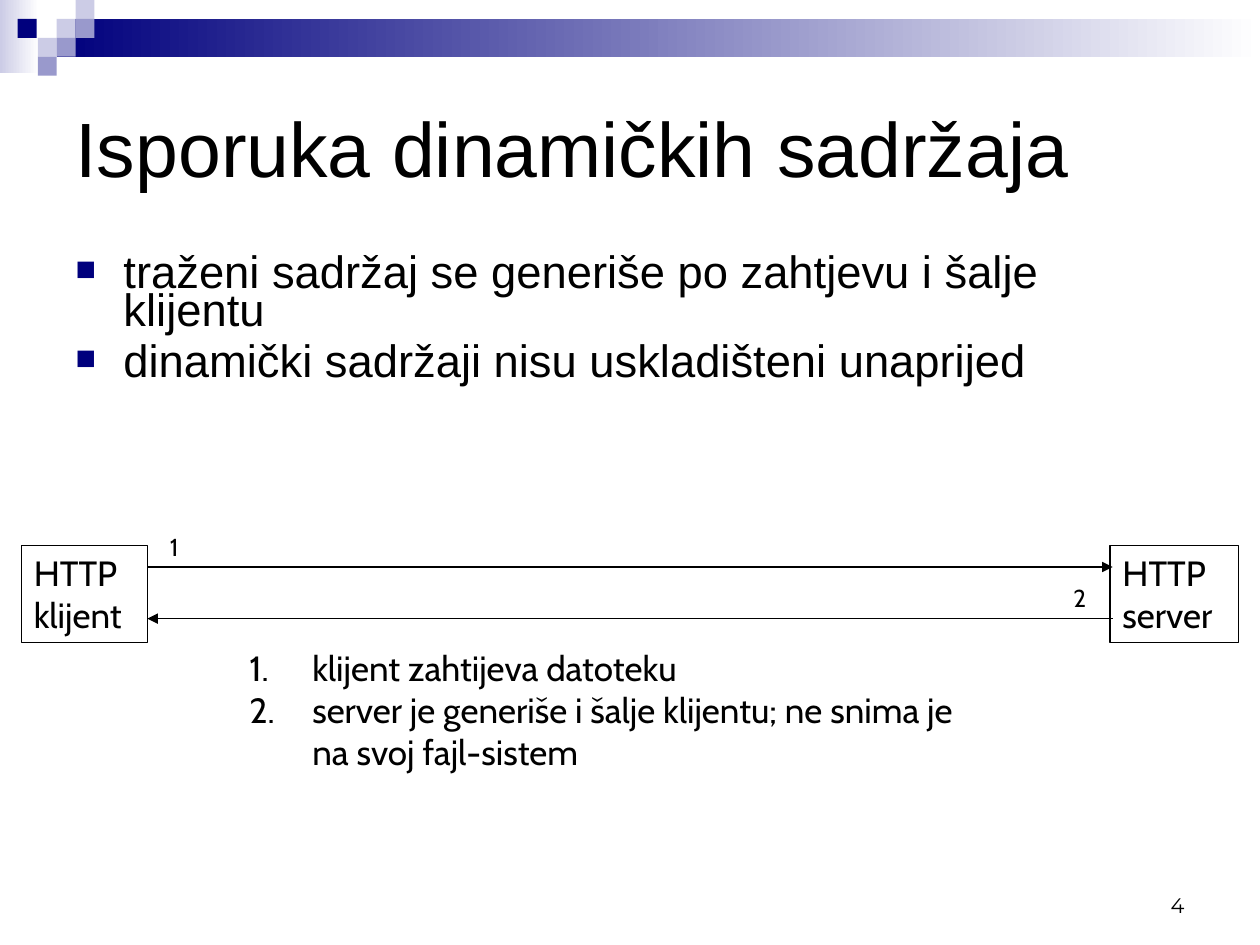
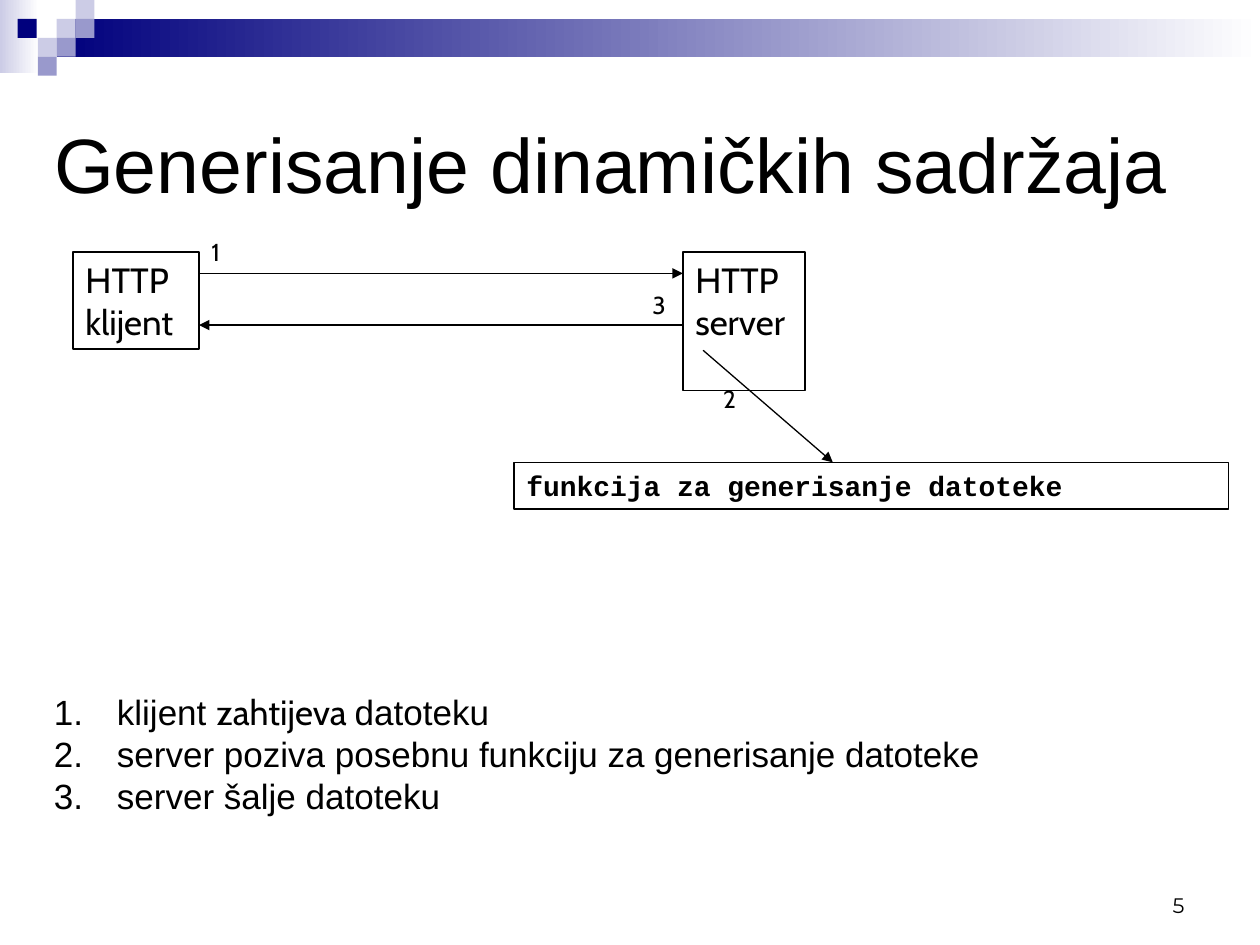
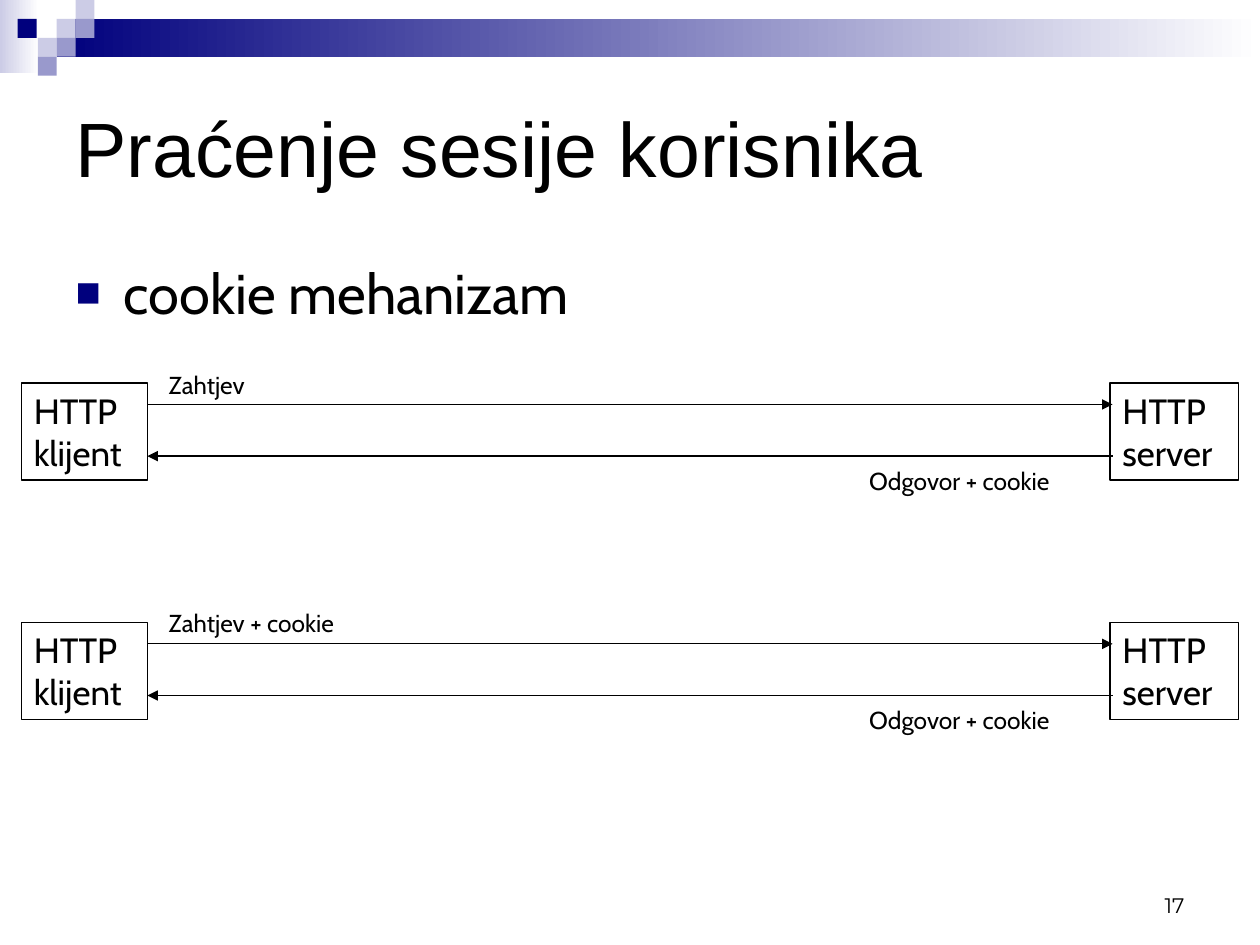
from lxml import etree
from pptx import Presentation
from pptx.dml.color import RGBColor
from pptx.enum import shapes, text
from pptx.oxml import ns
from pptx.util import Inches, Pt

NAVY = RGBColor(0x00, 0x00, 0x7D)
LILAC = RGBColor(0x99, 0x99, 0xCC)
PALE = RGBColor(0xCC, 0xCC, 0xE6)
WHITE = RGBColor(0xFF, 0xFF, 0xFF)
BLACK = RGBColor(0, 0, 0)

BANDS = [((0, 0, 0.31, 0.58), PALE), ((0.45, 0.15, 9.55, 0.3), NAVY)]
TILES = [(0.45, 0.15, PALE), (0.6, 0, PALE), (0.6, 0.15, LILAC), (0.3, 0.3, PALE),
         (0.14, 0.15, NAVY), (0.45, 0.3, LILAC), (0.3, 0.45, LILAC)]
TILE = 0.15
HEAD = (0.5, 0.5, 9, 1.33)
FOOT = (7.17, 6.83, 2.33, 0.5)
WIDE = {"left": 0.17, "right": 8.81, "width": 1.02, "height": 0.77, "tip": 8.83}
NEAR = {"left": 0.58, "right": 5.42, "width": 0.97, "height": 1.1, "tip": 5.42}

SLIDES = [
    {"title": "Isporuka dinamičkih sadržaja", "page": "4",
     "body": {"at": (0.5, 2, 9, 1.21), "size": 25.9, "font": "Arial", "line": 0.7, "gap": 7,
              "items": ["traženi sadržaj se generiše po zahtjevu i šalje klijentu",
                        "dinamički sadržaji nisu uskladišteni unaprijed"]},
     "pairs": [(4.33, WIDE)],
     "notes": [("1", (1.25, 4.17, 0.31)), ("2", (8.42, 4.58, 0.31))],
     "steps": {"at": (1.88, 5.08, 6.51, 1.1), "font": "Cabin",
               "items": ["klijent zahtijeva datoteku",
                         "server je generiše i šalje klijentu; ne snima je\nna svoj fajl-sistem"]}},
    {"title": "Generisanje dinamičkih sadržaja", "page": "5", "head": (0.33, 0.67, 9.33, 1.25),
     "pairs": [(2, NEAR)],
     "notes": [("1", (1.58, 1.83, 0.31)), ("3", (5.08, 2.25, 0.31)), ("2", (5.64, 3, 0.31))],
     "call": {"text": "funkcija za generisanje datoteke", "at": (4.08, 3.67, 5.67, 0.37),
              "arrow": (5.58, 2.78, 6.61, 3.67)},
     "steps": {"at": (0.33, 5.43, 7.6, 1.1), "font": "Arial",
               "items": [[("klijent ", "Arial"), ("zahtijeva ", "Cabin"), ("datoteku", "Arial")],
                         "server poziva posebnu funkciju za generisanje datoteke",
                         "server šalje datoteku"]}},
    {"title": "Praćenje sesije korisnika", "page": "17",
     "body": {"at": (0.5, 2, 9, 0.74), "size": 32, "font": "Cabin", "line": 1, "gap": 8,
              "items": ["cookie mehanizam"]},
     "pairs": [(3.04, WIDE), (4.94, WIDE)],
     "notes": [("Zahtjev", (1.24, 2.89, 0.87)), ("Odgovor + cookie", (6.8, 3.65, 1.81)),
               ("Zahtjev + cookie", (1.24, 4.78, 1.68)), ("Odgovor + cookie", (6.8, 5.55, 1.81))]},
]


def inch(at):
    return [Inches(n) for n in at]


def node(home, tag, **attrs):
    return etree.SubElement(home, ns.qn(tag), attrs)


def place(shape, at):
    shape.left, shape.top, shape.width, shape.height = inch(at)


def write(shape, items, font, size, bold=False, anchor=text.MSO_ANCHOR.TOP,
          align=text.PP_ALIGN.LEFT):
    frame = shape.text_frame
    frame.word_wrap = True
    frame.auto_size = text.MSO_AUTO_SIZE.NONE
    frame.vertical_anchor = anchor
    for i, item in enumerate(items):
        para = frame.add_paragraph() if i else frame.paragraphs[0]
        para.alignment = align
        if isinstance(item, str):
            para.text = item
            faces = [font] * len(para.runs)
        else:
            faces = [face for _, face in item]
            for words, _ in item:
                para.add_run().text = words
        for run, face in zip(para.runs, faces):
            run.font.name = face
            run.font.size = Pt(size)
            run.font.bold = bold
            run.font.color.rgb = BLACK
    return frame.paragraphs


def indent(para, depth, color):
    props = para._p.get_or_add_pPr()
    props.set("marL", str(Inches(depth)))
    props.set("indent", str(-Inches(depth)))
    node(node(props, "a:buClr"), "a:srgbClr", val=str(color))
    return props


def block(slide, at):
    shape = slide.shapes.add_shape(shapes.MSO_SHAPE.RECTANGLE, *inch(at))
    shape.shadow.inherit = False
    return shape


def box(slide, at, items, font="Cabin", size=20, bold=False):
    shape = block(slide, at)
    shape.fill.background()
    shape.line.color.rgb = BLACK
    shape.line.width = Pt(0.75)
    return write(shape, items, font, size, bold)


def label(slide, at, items, font="Cabin", size=14, **style):
    return write(slide.shapes.add_textbox(*inch(at)), items, font, size, **style)


def arrow(slide, ends, end="a:tailEnd"):
    line = slide.shapes.add_connector(shapes.MSO_CONNECTOR.STRAIGHT, *inch(ends))
    line.line.color.rgb = BLACK
    line.line.width = Pt(0.75)
    node(line.line._get_or_add_ln(), end, type="triangle")
    node(line.element.spPr, "a:effectLst")


def pair(slide, top, plan):
    start = plan["left"] + 1
    box(slide, (plan["left"], top, 1, 0.77), ["HTTP", "klijent"])
    box(slide, (plan["right"], top, plan["width"], plan["height"]), ["HTTP", "server"])
    for drop, end in ((0.17, "a:tailEnd"), (0.58, "a:headEnd")):
        arrow(slide, (start, top + drop, plan["tip"], top + drop), end)


def brand(deck, slide):
    parts = []
    for at, color in BANDS:
        part = block(slide, at)
        part.fill.gradient()
        part.fill.gradient_angle = 0
        for stop, shade in zip(part.fill.gradient_stops, (color, WHITE)):
            stop.color.rgb = shade
        parts.append(part)
    for left, top, color in TILES:
        part = block(slide, (left, top, TILE, TILE))
        part.fill.solid()
        part.fill.fore_color.rgb = color
        parts.append(part)
    tree = deck.slide_master.element.cSld.spTree
    for i, part in enumerate(parts):
        part.line.fill.background()
        part.element.nvSpPr.cNvPr.set("id", str(20 + i))
        tree.append(part.element)


def bullets(slide, body):
    shape = slide.placeholders[1]
    place(shape, body["at"])
    for para in write(shape, body["items"], body["font"], body["size"]):
        para.line_spacing = body["line"]
        para.space_before = Pt(body["gap"])
        props = indent(para, 0.38, NAVY)
        node(props, "a:buSzPct", val="75000")
        node(props, "a:buFont", typeface="Arial")
        node(props, "a:buChar", char="■")


def steps(slide, plan):
    for para in label(slide, plan["at"], plan["items"], plan["font"], 20):
        node(indent(para, 0.5, BLACK), "a:buAutoNum", type="arabicPeriod")


def build(deck, data):
    slide = deck.slides.add_slide(deck.slide_layouts[1 if "body" in data else 5])
    title = slide.shapes.title
    place(title, data.get("head", HEAD))
    write(title, [data["title"]], "Arial", 44, anchor=text.MSO_ANCHOR.MIDDLE)
    label(slide, FOOT, [data["page"]], "Montserrat", 12,
          anchor=text.MSO_ANCHOR.BOTTOM, align=text.PP_ALIGN.RIGHT)
    if "body" in data:
        bullets(slide, data["body"])
    for top, plan in data["pairs"]:
        pair(slide, top, plan)
    for words, at in data["notes"]:
        label(slide, (*at, 0.34), [words])
    if "call" in data:
        call = data["call"]
        paras = box(slide, call["at"], [call["text"]], "Courier New", 16, True)
        paras[0].space_before = Pt(10)
        arrow(slide, call["arrow"])
    if "steps" in data:
        steps(slide, data["steps"])
    return slide


def main():
    deck = Presentation()
    deck.slide_width, deck.slide_height = Inches(10), Inches(7.5)
    made = [build(deck, data) for data in SLIDES]
    brand(deck, made[0])
    deck.save("out.pptx")


if __name__ == "__main__":
    main()
